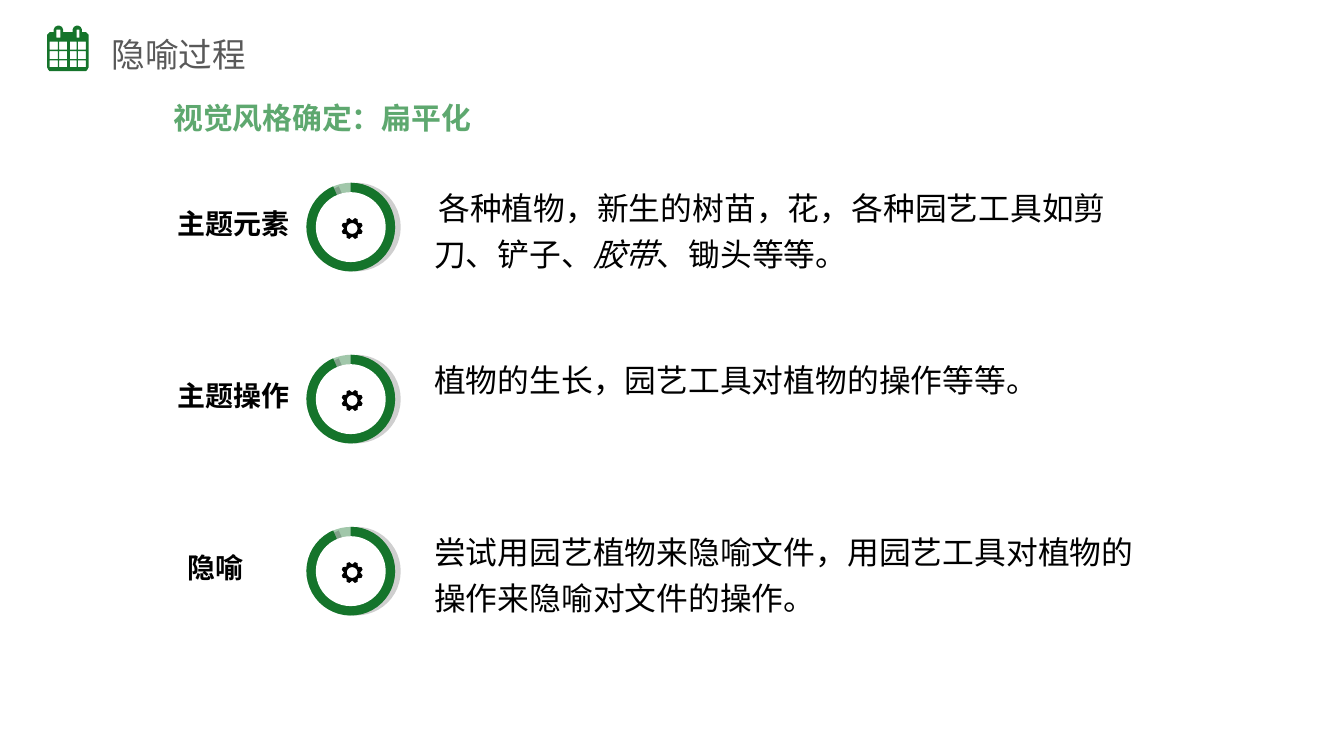
from math import cos, radians, sin

from lxml.etree import SubElement
from pptx import Presentation
from pptx.dml.color import RGBColor
from pptx.enum.shapes import MSO_SHAPE
from pptx.enum.text import MSO_ANCHOR, MSO_AUTO_SIZE, PP_ALIGN
from pptx.oxml.ns import qn
from pptx.util import Inches, Pt

FONT = "Noto Sans CJK SC"
GREEN = RGBColor(0x15, 0x74, 0x2B)
LIGHT_GREEN = RGBColor(0x5E, 0xA8, 0x6F)
GRAY = RGBColor(0x59, 0x59, 0x59)
BLACK = RGBColor(0, 0, 0)
WHITE = RGBColor(0xFF, 0xFF, 0xFF)

HEADING = "隐喻过程"
SUBHEADING = "视觉风格确定：扁平化"
LEAD_SPACE = {"size": Pt(10)}
ITALIC = {"italic": True}
STEPS = [
    ("主题元素", 1.22, 5.6, [
        (" ", LEAD_SPACE),
        ("各种植物，新生的树苗，花，各种园艺工具如剪刀、铲子、", {}),
        ("胶带", ITALIC),
        ("、锄头等等。", {}),
    ]),
    ("主题操作", 1.22, 5.45, [("植物的生长，园艺工具对植物的操作等等。", {})]),
    ("隐喻", 1.3, 5.55, [
        ("尝试用园艺植物来隐喻文件，用园艺工具对植物的操作来隐喻对文件的操作。", {}),
    ]),
]
FIRST_TOP, STEP_PITCH = 1.29, 1.28
RING_X, RING_OFFSET = 2.61, 0.4
RING_SIZE, CENTER_SIZE = 0.66, 0.52

CALENDAR_OUTLINE = [
    (0.35, 0.26), (0.36, 0.25), (0.37, 0.24), (0.4, 0.24), (0.4, 0.22),
    (0.41, 0.2), (0.43, 0.19), (0.44, 0.19), (0.46, 0.2), (0.47, 0.22),
    (0.47, 0.24), (0.54, 0.24), (0.54, 0.22), (0.55, 0.2), (0.57, 0.19),
    (0.58, 0.19), (0.6, 0.2), (0.61, 0.22), (0.61, 0.24), (0.64, 0.24),
    (0.65, 0.25), (0.66, 0.26), (0.66, 0.5), (0.65, 0.52), (0.64, 0.53),
    (0.37, 0.53), (0.36, 0.52), (0.35, 0.5),
]
CALENDAR_COLUMNS = [(0.37, 0.43), (0.44, 0.5), (0.52, 0.57), (0.58, 0.64)]
CALENDAR_ROWS = [(0.31, 0.37), (0.38, 0.44), (0.45, 0.5)]
BINDING_HOLES = [(0.42, 0.45), (0.57, 0.59)]


def write(box, runs, size, color, bold=False, insets=(0.1, 0.05), spacing=None):
    frame = box.text_frame
    frame.margin_left = frame.margin_right = Inches(insets[0])
    frame.margin_top = frame.margin_bottom = Inches(insets[1])
    paragraph = frame.paragraphs[0]
    paragraph.alignment = PP_ALIGN.LEFT
    paragraph.line_spacing = spacing
    font = paragraph.font
    font.name, font.size, font.bold = FONT, Pt(size), bold
    font.color.rgb = color
    properties = paragraph._p.pPr
    properties.set("hangingPunct", "0")
    SubElement(properties.find(qn("a:defRPr")), qn("a:ea"), typeface=FONT)
    for text, overrides in runs:
        run = paragraph.add_run()
        run.text = text
        for attribute, value in overrides.items():
            setattr(run.font, attribute, value)
    return frame


def paint(shape, color):
    shape.shadow.inherit = False
    shape.fill.solid()
    shape.fill.fore_color.rgb = color
    shape.line.fill.background()
    return shape


def add_disc(shapes, kind, center_y, size, rotation, color):
    disc = shapes.add_shape(kind, Inches(RING_X - size / 2), Inches(center_y - size / 2),
                            Inches(size), Inches(size))
    disc.rotation = rotation
    return paint(disc, color)


def add_outline(shapes, contours, color):
    contours = [[(Inches(x), Inches(y)) for x, y in contour] for contour in contours]
    builder = shapes.build_freeform(*contours[0][0])
    for index, contour in enumerate(contours):
        if index:
            builder.move_to(*contour[0])
        builder.add_line_segments(contour[1:], close=True)
    return paint(builder.convert_to_shape(), color)


def rectangle(columns, rows):
    (left, right), (top, bottom) = columns, rows
    return [(left, top), (left, bottom), (right, bottom), (right, top)]


def add_gear(shapes, center_y):
    def polar(radius, angle):
        return (RING_X + 0.01 + radius * cos(radians(angle)),
                center_y + 0.01 + radius * sin(radians(angle)))

    teeth = [polar(radius, start + turn) for start in range(0, 360, 45)
             for radius, turn in ((0.06, 0), (0.08, 15), (0.08, 30))]
    hole = [polar(0.04, -angle) for angle in range(0, 360, 15)]
    add_outline(shapes, [teeth, hole], BLACK)


def add_ring(shapes, center_y):
    track = add_disc(shapes, MSO_SHAPE.OVAL, center_y, RING_SIZE, 197.3, GREEN)
    track_color = track.fill._xPr.find(qn("a:solidFill"))[0]
    SubElement(track_color, qn("a:alpha"), val="40000")

    arc = add_disc(shapes, MSO_SHAPE.PIE, center_y, RING_SIZE, 90.4, GREEN)
    arc.adjustments[0], arc.adjustments[1] = 107.665, 93.711
    effects = arc._element.spPr.find(qn("a:effectLst"))
    shadow = SubElement(effects, qn("a:outerShdw"), blurRad="0", dist=str(Pt(3)),
                        dir="0", rotWithShape="0")
    shadow_color = SubElement(shadow, qn("a:srgbClr"), val=str(BLACK))
    SubElement(shadow_color, qn("a:alpha"), val="18000")

    add_disc(shapes, MSO_SHAPE.OVAL, center_y, CENTER_SIZE, 90.4, WHITE)
    add_gear(shapes, center_y)


def add_step(slide, top, step):
    label, label_left, width, description = step
    shapes = slide.shapes.add_group_shape().shapes
    detail = shapes.add_textbox(Inches(3.11), Inches(top), Inches(width), Inches(0.8))
    write(detail, description, 17, BLACK, insets=(0.12, 0.06), spacing=1.2).word_wrap = True
    caption = shapes.add_textbox(Inches(label_left), Inches(top + 0.23), Inches(1.05), Inches(0.28))
    caption_frame = write(caption, [(label, {})], 15, BLACK, bold=True)
    caption_frame.word_wrap = False
    caption_frame.vertical_anchor = MSO_ANCHOR.MIDDLE
    add_ring(shapes, top + RING_OFFSET)


def main():
    deck = Presentation()
    deck.slide_width = Inches(10)
    deck.slide_height = deck.slide_width * 9 // 16
    slide = deck.slides.add_slide(deck.slide_layouts[5])
    slide.background.fill.solid()
    slide.background.fill.fore_color.rgb = WHITE

    holes = [rectangle(column, row) for row in CALENDAR_ROWS for column in CALENDAR_COLUMNS]
    holes += [rectangle(column, (0.22, 0.28)) for column in BINDING_HOLES]
    add_outline(slide.shapes, [CALENDAR_OUTLINE] + holes, GREEN)

    for index, step in enumerate(STEPS):
        add_step(slide, FIRST_TOP + index * STEP_PITCH, step)

    title = slide.shapes.title
    title.left, title.top = Inches(0.83), Inches(0.19)
    title.width, title.height = Inches(2.33), Inches(0.42)
    title_frame = write(title, [(HEADING, {})], 18, GRAY, insets=(0, 0.05))
    title_frame.vertical_anchor = MSO_ANCHOR.MIDDLE
    title_frame.auto_size = MSO_AUTO_SIZE.NONE

    subtitle = slide.shapes.add_textbox(Inches(1.29), Inches(0.74), Inches(2.22), Inches(0.54))
    subtitle_frame = write(subtitle, [(SUBHEADING, {})], 16, LIGHT_GREEN, bold=True, insets=(0, 0))
    subtitle_frame.word_wrap = False

    deck.save("out.pptx")


if __name__ == "__main__":
    main()
